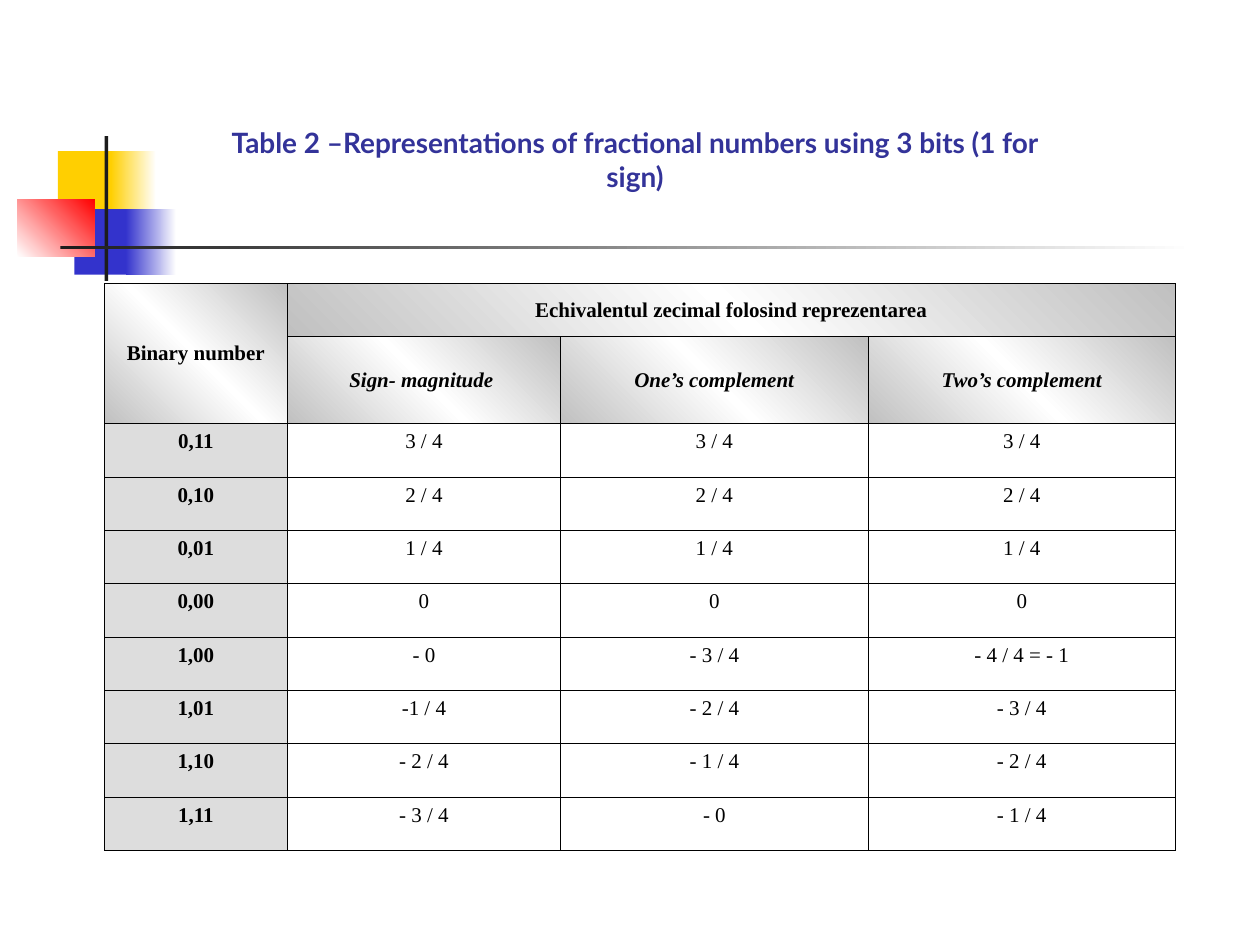
from copy import deepcopy

from lxml import etree
from pptx import Presentation
from pptx.dml.color import RGBColor
from pptx.enum.shapes import MSO_SHAPE as SHAPE
from pptx.enum.text import MSO_ANCHOR as ANCHOR, MSO_AUTO_SIZE as AUTO, PP_ALIGN as ALIGN
from pptx.oxml.ns import qn
from pptx.util import Inches, Pt

# Content
TITLE = "Table 2 –Representations of fractional numbers using 3 bits (1 for sign)"
HEADER = [
    ["Binary number", "Echivalentul zecimal folosind reprezentarea", "", ""],
    ["", "Sign- magnitude ", "One’s complement", "Two’s complement"],
]
VALUES = [
    ["0,11", "3 / 4", "3 / 4", "3 / 4"],
    ["0,10", "2 / 4", "2 / 4", "2 / 4"],
    ["0,01", "1 / 4", "1 / 4", "1 / 4"],
    ["0,00", "0", "0", "0"],
    ["1,00", "- 0", "- 3 / 4", "- 4 / 4 = - 1"],
    ["1,01", "-1 / 4", "- 2 / 4", "- 3 / 4"],
    ["1,10", "- 2 / 4", "- 1 / 4", "- 2 / 4"],
    ["1,11", "- 3 / 4", "- 0", "- 1 / 4"],
]

# Decoration: left, top, width, height, colours, gradient angle
DECOR = [
    (0.46, 1.2, 0.48, 0.52, ["FFCF01"], 0),
    (0.88, 1.2, 0.36, 0.52, ["FFCF01", "FFFFFF"], 0),
    (0.59, 1.66, 0.46, 0.52, ["3333CC"], 0),
    (1, 1.66, 0.4, 0.52, ["3333CC", "FFFFFF"], 0),
    (0.14, 1.58, 0.61, 0.46, ["FFFFFF", "FF0000"], 45),
    (0.83, 1.08, 0.03, 1.15, ["1C1C1C"], 0),
    (0.48, 1.95, 9, 0.03, ["1C1C1C", "FFFFFF"], 0),
]
HEADER_FILL = ["C0C0C0", "FFFFFF", "C0C0C0"]
COL_WIDTHS = [1.45, 2.17, 2.44, 2.44]
TABLE_HEIGHT, SUBHEAD_HEIGHT = 4.5, 0.69


def rgb(value):
    return RGBColor.from_string(value)


def paint(fill, props, colors, angle=0):
    """Solid fill for one colour, evenly spaced linear gradient for more."""
    if len(colors) == 1:
        fill.solid()
        fill.fore_color.rgb = rgb(colors[0])
        return
    fill.gradient()
    fill.gradient_angle = angle
    stops = props.find(qn("a:gradFill")).find(qn("a:gsLst"))
    while len(stops) < len(colors):
        stops.append(deepcopy(stops[-1]))
    for i, (stop, color) in enumerate(zip(fill.gradient_stops, colors)):
        stop.position = i / (len(colors) - 1)
        stop.color.rgb = rgb(color)


def write(tf, text, size, font, color, bold=False, italic=False):
    tf.text = text
    p = tf.paragraphs[0]
    p.alignment = ALIGN.CENTER
    f = p.font
    f.size, f.name, f.bold, f.italic = Pt(size), font, bold, italic
    f.color.rgb = rgb(color)


def add_borders(props, color="000000", width=0.45):
    for i, side in enumerate(("lnL", "lnR", "lnT", "lnB")):
        ln = etree.Element(qn(f"a:{side}"), w=str(Pt(width)))
        solid = etree.SubElement(ln, qn("a:solidFill"))
        etree.SubElement(solid, qn("a:srgbClr"), val=color)
        props.insert(i, ln)


prs = Presentation()
prs.slide_width, prs.slide_height = Inches(10), Inches(7.5)
s = prs.slides.add_slide(prs.slide_layouts[5])

# Decorative blocks and rules
for *box, colors, angle in DECOR:
    sp = s.shapes.add_shape(SHAPE.RECTANGLE, *map(Inches, box))
    sp.shadow.inherit = False
    sp.line.fill.background()
    paint(sp.fill, sp._element.spPr, colors, angle)

# Title
title = s.shapes.title
title.left, title.top, title.width, title.height = map(Inches, (1.5, 0.83, 7.08, 0.75))
tf = title.text_frame
tf.word_wrap, tf.auto_size, tf.vertical_anchor = True, AUTO.NONE, ANCHOR.BOTTOM
write(tf, TITLE, 16, "Lato", "333399", bold=True)

# Table grid
rows = HEADER + VALUES
table = s.shapes.add_table(len(rows), len(COL_WIDTHS), Inches(0.83), Inches(2.25),
                           Inches(sum(COL_WIDTHS)), Inches(TABLE_HEIGHT)).table
table.first_row = table.horz_banding = False
for col, width in zip(table.columns, COL_WIDTHS):
    col.width = Inches(width)
for i, row in enumerate(table.rows):
    row.height = Inches(SUBHEAD_HEIGHT if i == 1
                        else (TABLE_HEIGHT - SUBHEAD_HEIGHT) / (len(rows) - 1))

# Table cells
for r, texts in enumerate(rows):
    for c, text in enumerate(texts):
        cell = table.cell(r, c)
        head = r < len(HEADER)
        cell.vertical_anchor = ANCHOR.MIDDLE if head else ANCHOR.TOP
        write(cell.text_frame, text, 12, "Times New Roman", "000000",
              bold=head or c == 0, italic=r == 1)
        props = cell._tc.get_or_add_tcPr()
        if head:
            paint(cell.fill, props, HEADER_FILL, 45)
        elif c == 0:
            paint(cell.fill, props, ["DDDDDD"])
        else:
            cell.fill.background()
        add_borders(props)
table.cell(0, 0).merge(table.cell(1, 0))
table.cell(0, 1).merge(table.cell(0, 3))

prs.save("out.pptx")
